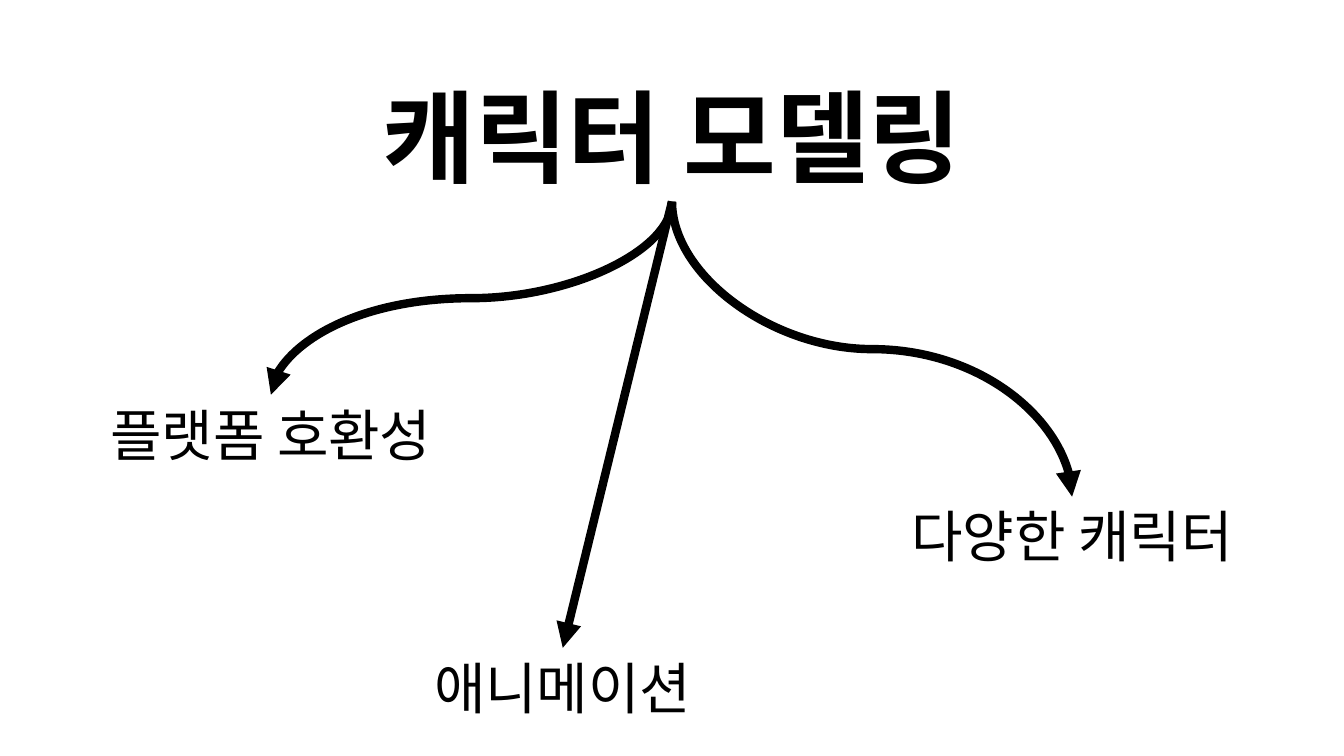
from dataclasses import dataclass

from lxml import etree
from pptx import Presentation
from pptx.dml.color import RGBColor
from pptx.enum.shapes import MSO_CONNECTOR
from pptx.enum.text import MSO_ANCHOR, MSO_AUTO_SIZE, PP_ALIGN
from pptx.oxml.ns import qn
from pptx.util import Pt

STRAIGHT, CURVE = MSO_CONNECTOR.STRAIGHT, MSO_CONNECTOR.CURVE
MIDDLE = MSO_ANCHOR.MIDDLE
GROW = MSO_AUTO_SIZE.SHAPE_TO_FIT_TEXT
CENTER = PP_ALIGN.CENTER
EMU_PER_PX = 9525


@dataclass(frozen=True)
class Theme:
    """Fonts, colours and sizes of the slide."""
    font: str = "Noto Sans CJK KR"
    ink: RGBColor = RGBColor(0, 0, 0)
    paper: RGBColor = RGBColor(255, 255, 255)
    title: int = 72
    label: int = 40
    line: int = 6


THEME = Theme()
TITLE = ("캐릭터 모델링", (306, 66, 668, 126))
BRANCHES = [
    ("플랫폼 호환성", (29, 376, 458, 74), CURVE),
    ("다양한 캐릭터", (784, 473, 474, 74), CURVE),
    ("애니메이션", (327, 617, 418, 74), STRAIGHT),
]


def px(n):
    """Turn pixels into EMU."""
    return round(n * EMU_PER_PX)


def set_all(target, values):
    """Set each named attribute on the target."""
    for name, value in values.items():
        setattr(target, name, value)


def add_text(s, text, box, size, bold=False):
    """Place one centred line of text in the box."""
    tf = s.shapes.add_textbox(*map(px, box)).text_frame
    set_all(tf, {"word_wrap": True, "auto_size": GROW, "vertical_anchor": MIDDLE})
    p = tf.paragraphs[0]
    p.alignment = CENTER
    r = p.add_run()
    r.text = text
    set_all(r.font, {"name": THEME.font, "size": Pt(size), "bold": bold})
    r.font.color.rgb = THEME.ink
    ea = etree.SubElement(r.font._element, qn("a:ea"))
    ea.set("typeface", THEME.font)


def add_arrow(s, start, end, kind):
    """Draw an arrow that leaves and arrives vertically when curved."""
    (x1, y1), (x2, y2) = start, end
    ends = (x1, y1, x2, y2)
    side = 1 if x2 > x1 else -1
    if kind == CURVE:
        cx, cy = (x1 + x2) / 2, (y1 + y2) / 2
        half_w, half_h = side * (y2 - y1) / 2, abs(x2 - x1) / 2
        ends = (cx + half_w, cy - half_h, cx - half_w, cy + half_h)
    line = s.shapes.add_connector(kind, *map(px, ends))
    sp_pr = line._element.spPr
    if kind == CURVE:
        degrees = 270 if side > 0 else 90
        sp_pr.find(qn("a:xfrm")).set("rot", str(degrees * 60000))
    line.line.width = Pt(THEME.line)
    line.line.color.rgb = THEME.ink
    tail = etree.SubElement(sp_pr.find(qn("a:ln")), qn("a:tailEnd"))
    tail.set("type", "triangle")
    etree.SubElement(sp_pr, qn("a:effectLst"))


def add_branch(s, root, text, box, kind):
    """Place a label and the arrow from the root to its top centre."""
    left, top, width, _ = box
    add_text(s, text, box, THEME.label)
    add_arrow(s, root, (left + width / 2, top), kind)


def add_mind_map(s):
    """Build the title and the branches below it."""
    text, (left, top, width, height) = TITLE
    add_text(s, text, (left, top, width, height), THEME.title, bold=True)
    root = (left + width / 2, top + height)
    for branch in BRANCHES:
        add_branch(s, root, *branch)


def main():
    """Create the presentation and save it."""
    prs = Presentation()
    set_all(prs, {"slide_width": px(1280), "slide_height": px(720)})
    s = prs.slides.add_slide(prs.slide_layouts[6])
    s.background.fill.solid()
    s.background.fill.fore_color.rgb = THEME.paper
    add_mind_map(s)
    prs.save("out.pptx")


if __name__ == "__main__":
    main()
